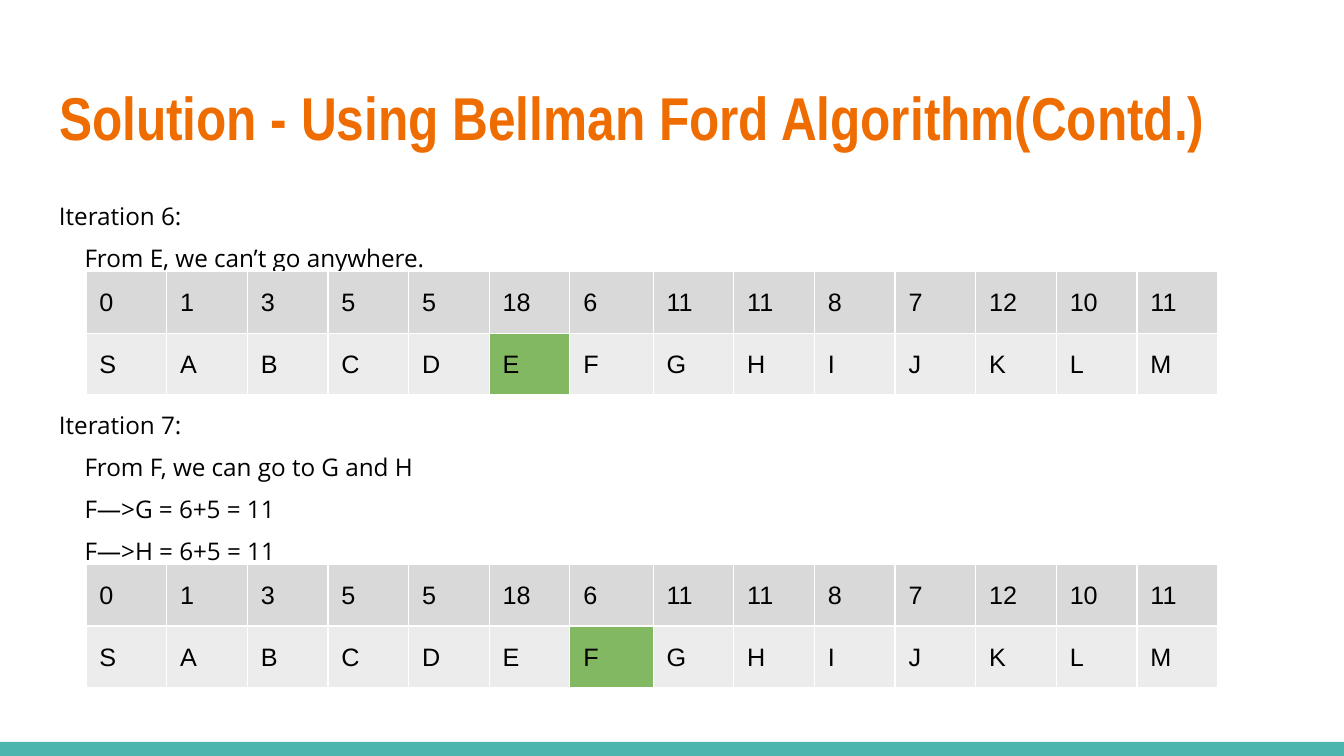
import pptx
import pptx.util
import pptx.dml.color
import pptx.enum.shapes
import pptx.enum.text
import pptx.oxml.ns
import lxml.etree

Inches = pptx.util.Inches
Pt = pptx.util.Pt

COLORS = {
    "title": "EF6C00",
    "text": "000000",
    "bar": "4DB6AC",
    "distance": "D9D9D9",
    "node": "ECECEC",
    "current": "83B862",
    "border": "FFFFFF",
}
DISTANCES = [0, 1, 3, 5, 5, 18, 6, 11, 11, 8, 7, 12, 10, 11]
NODES = "SABCDEFGHIJKLM"
ROW_HEIGHT = 0.24  # minimum; rows grow to fit their text

# Each iteration: heading, space above it in points, steps
ITERATIONS = [
    ("Iteration 6:", 0, ["From E, we can’t go anywhere."]),
    ("Iteration 7:", 73, ["From F, we can go to G and H",
                          "F—>G = 6+5 = 11",
                          "F—>H = 6+5 = 11"]),
]


def rgb(name):
    return pptx.dml.color.RGBColor.from_string(COLORS[name])


def add_run(p, text, font, size, color="text", bold=False):
    r = p.add_run()
    r.text = text
    r.font.name = font
    r.font.size = Pt(size)
    r.font.bold = bold
    r.font.color.rgb = rgb(color)


def set_margins(frame):
    """Give a text frame or a table cell equal insets."""
    frame.margin_left = frame.margin_right = Inches(0.1)
    frame.margin_top = frame.margin_bottom = Inches(0.1)


def add_bar(s):
    sp = s.shapes.add_shape(pptx.enum.shapes.MSO_SHAPE.RECTANGLE,
                            0, Inches(5.52), Inches(10), Inches(0.11))
    sp.shadow.inherit = False
    sp.fill.solid()
    sp.fill.fore_color.rgb = rgb("bar")
    sp.line.fill.background()


def set_title(s, text):
    sp = s.shapes.title
    sp.left, sp.top = Inches(0.34), Inches(0.48)
    sp.width, sp.height = Inches(9.32), Inches(0.77)
    tf = sp.text_frame
    set_margins(tf)
    tf.auto_size = pptx.enum.text.MSO_AUTO_SIZE.NONE
    tf.vertical_anchor = pptx.enum.text.MSO_ANCHOR.MIDDLE
    p = tf.paragraphs[0]
    p.alignment = pptx.enum.text.PP_ALIGN.LEFT
    add_run(p, text, "Arial Narrow", 32.4, "title", bold=True)


def add_iterations(s):
    sp = s.shapes.add_textbox(Inches(0.34), Inches(1.39), Inches(9.32), Inches(3.61))
    tf = sp.text_frame
    tf.word_wrap = True
    set_margins(tf)
    lines = []
    for heading, space, steps in ITERATIONS:
        lines.append((heading, space, 0))
        lines += [(step, 6, 0.19) for step in steps]
    for i, (text, space, indent) in enumerate(lines):
        p = tf.add_paragraph() if i else tf.paragraphs[0]
        p.line_spacing = 1.05
        p.space_before = Pt(space)
        p._p.get_or_add_pPr().set("marL", str(Inches(indent)))
        add_run(p, text, "Open Sans", 13)


def set_borders(cell):
    tcPr = cell._tc.get_or_add_tcPr()
    qn = pptx.oxml.ns.qn
    for side in ("lnL", "lnR", "lnT", "lnB"):
        ln = lxml.etree.SubElement(tcPr, qn("a:" + side), w=str(Pt(0.75)))
        fill = lxml.etree.SubElement(ln, qn("a:solidFill"))
        lxml.etree.SubElement(fill, qn("a:srgbClr"), val=COLORS["border"])


def fill_cell(cell, text, color):
    set_margins(cell)
    set_borders(cell)
    cell.fill.solid()
    cell.fill.fore_color.rgb = rgb(color)
    p = cell.text_frame.paragraphs[0]
    p.line_spacing = 1.15
    add_run(p, text, "Arial", 13.5)


def add_distance_table(s, top, current):
    """Distances above node names, with the current node highlighted."""
    widths = [0.62 if node == "F" else 0.6 for node in NODES]
    tbl = s.shapes.add_table(2, len(NODES), Inches(0.64), Inches(top),
                             Inches(sum(widths)), Inches(2 * ROW_HEIGHT)).table
    tbl.first_row = tbl.horz_banding = False
    for row in tbl.rows:
        row.height = Inches(ROW_HEIGHT)
    for c, (distance, node) in enumerate(zip(DISTANCES, NODES)):
        tbl.columns[c].width = Inches(widths[c])
        fill_cell(tbl.cell(0, c), str(distance), "distance")
        fill_cell(tbl.cell(1, c), node, "current" if node == current else "node")


def main():
    prs = pptx.Presentation()
    prs.slide_width = Inches(10)
    prs.slide_height = prs.slide_width * 9 // 16
    s = prs.slides.add_slide(prs.slide_layouts[5])

    # Frame of the slide
    add_bar(s)
    set_title(s, "Solution - Using Bellman Ford Algorithm(Contd.)")

    # Steps, with one table under each iteration
    add_iterations(s)
    add_distance_table(s, 2.02, "E")
    add_distance_table(s, 4.2, "F")

    prs.save("out.pptx")


if __name__ == "__main__":
    main()
